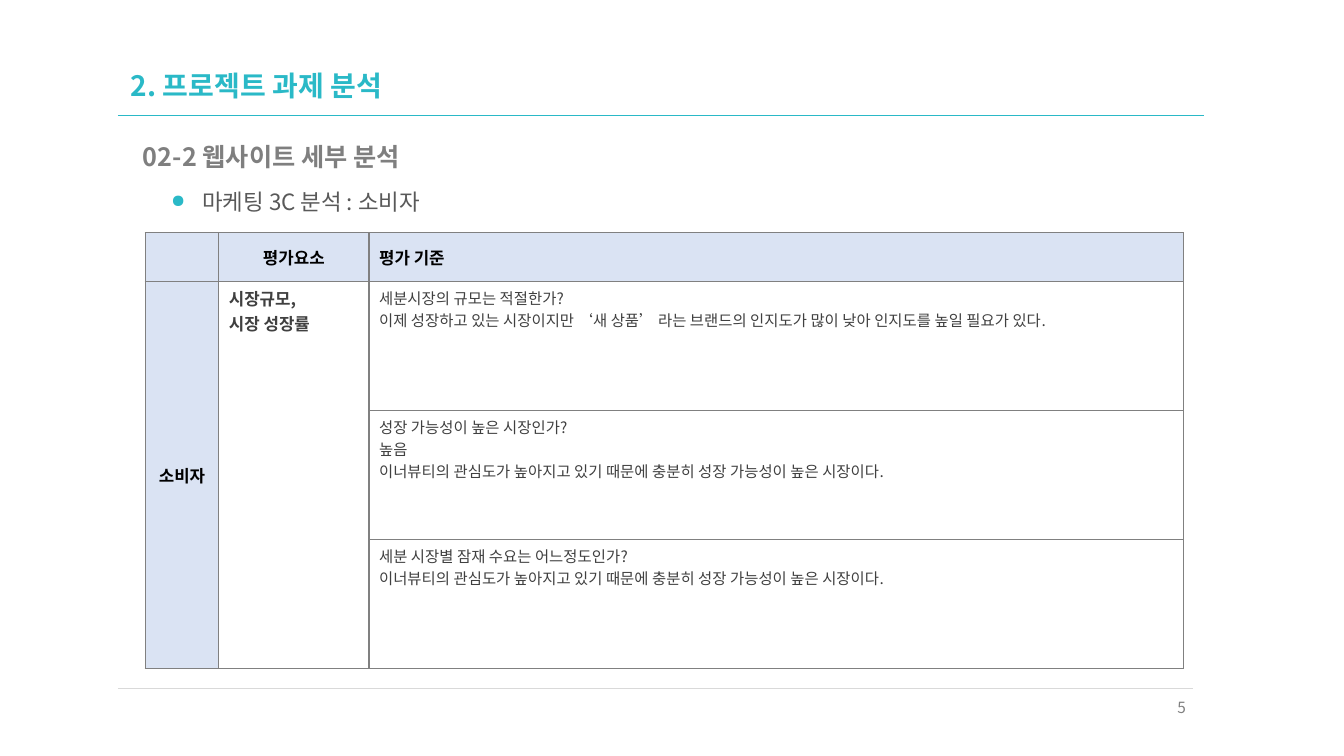
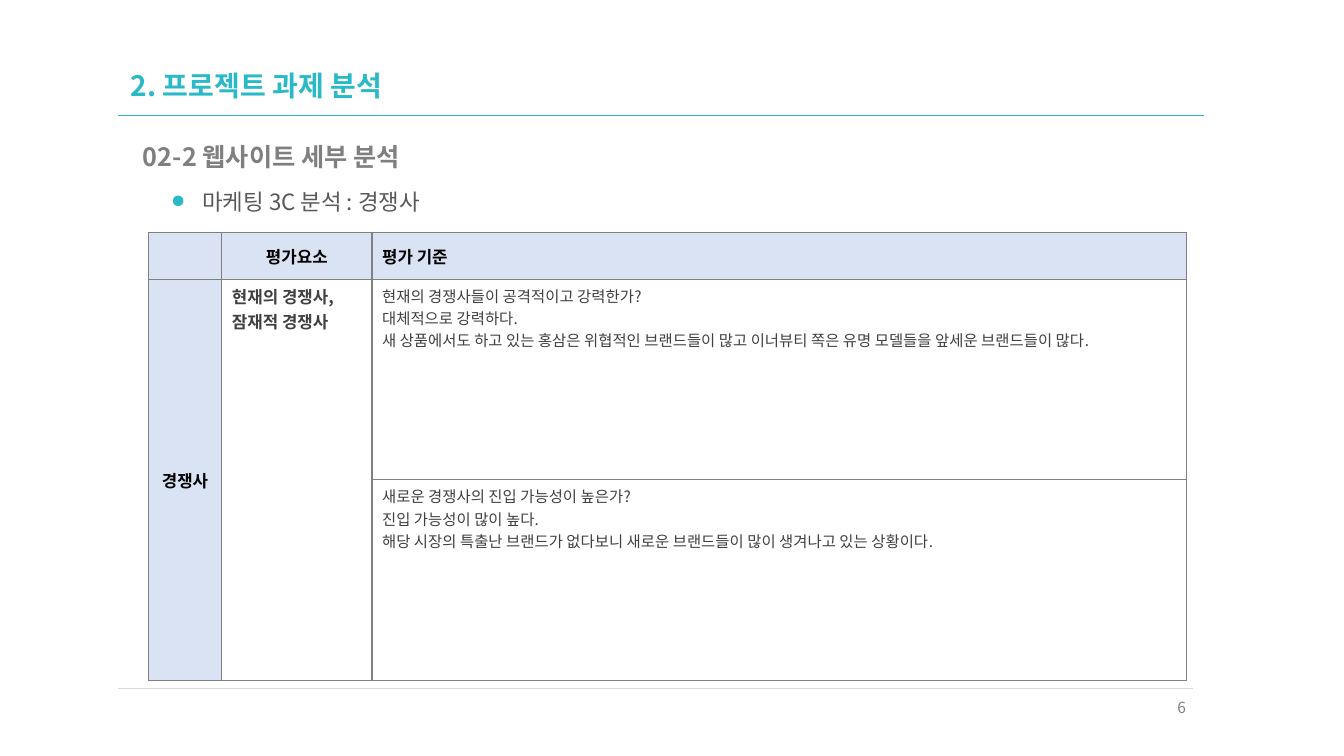
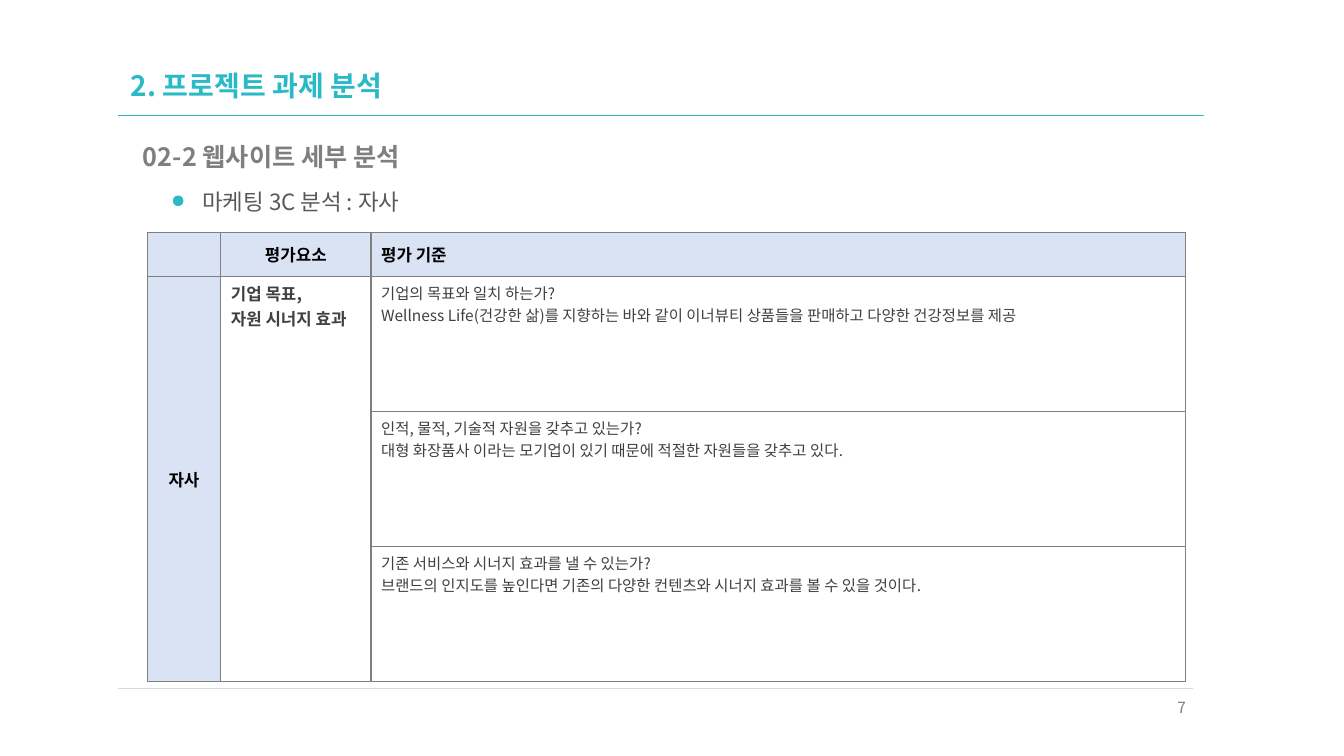
from lxml.etree import SubElement
from pptx import Presentation
from pptx.dml.color import RGBColor
from pptx.enum.shapes import MSO_CONNECTOR
from pptx.enum.text import MSO_ANCHOR, PP_ALIGN
from pptx.oxml.ns import qn
from pptx.util import Inches, Pt

FONT = "Noto Sans CJK KR"
TEAL, RULE, BORDER, HEADER_FILL = "2AB9C7", "D9D9D9", "808080", "DAE3F3"
COLUMNS = (0.73, 1.49, 8.08)

# Text formats: run values first, then paragraph values
TITLE = ({"size": Pt(20), "bold": True}, TEAL, {"line_spacing": 0.9})
SUBTITLE = ({"size": Pt(18), "bold": True}, "7F7F7F",
            {"line_spacing": 0.9, "space_before": Pt(10)})
TOPIC = ({"size": Pt(16), "bold": False}, "595959",
         {"line_spacing": 0.9, "space_before": Pt(10)})
NUMBER = ({"size": Pt(11), "bold": False}, "808080", {"alignment": PP_ALIGN.RIGHT})
HEAD = ({"size": Pt(12), "bold": True}, "000000", {})
HEAD_CENTER = (HEAD[0], HEAD[1], {"alignment": PP_ALIGN.CENTER})
FACTOR = (HEAD[0], "404040", {})
CRITERION = ({"size": Pt(11), "bold": False}, "404040", {})


def color(value):
    return RGBColor.from_string(value)


def apply(target, values):
    for name, value in values.items():
        setattr(target, name, value)


def write(frame, text, style):
    font_values, font_color, para_values = style
    for index, line in enumerate(text.split("\n")):
        para = frame.add_paragraph() if index else frame.paragraphs[0]
        apply(para, para_values)
        if not line:
            SubElement(para._p, qn("a:endParaRPr"), sz=str(int(font_values["size"].pt * 100)))
            continue
        span = para.add_run()
        span.text = line
        apply(span.font, {"name": FONT, **font_values})
        span.font.color.rgb = color(font_color)
        SubElement(span._r.get_or_add_rPr(), qn("a:ea"), typeface=FONT)


def add_text(page, box, text, style, anchor=MSO_ANCHOR.TOP):
    frame = page.shapes.add_textbox(*map(Inches, box)).text_frame
    apply(frame, {"word_wrap": True, "vertical_anchor": anchor})
    write(frame, text, style)
    return frame


def add_rule(page, left, right, top, line_color):
    rule = page.shapes.add_connector(
        MSO_CONNECTOR.STRAIGHT, *map(Inches, (left, top, right, top)))
    rule.line.color.rgb = color(line_color)
    rule.line.width = Pt(0.5)
    SubElement(rule._element.spPr, qn("a:effectLst"))


def add_bullet(para):
    props = para._p.get_or_add_pPr()
    apply_indent = {"marL": Inches(0.31), "indent": -Inches(0.31)}
    for name, value in apply_indent.items():
        props.set(name, str(int(value)))
    SubElement(SubElement(props, qn("a:buClr")), qn("a:srgbClr"), val=TEAL)
    SubElement(props, qn("a:buSzPct"), val="80000")
    SubElement(props, qn("a:buChar"), char="●")


def add_frame(page, topic, number):
    # Rules, headings and page number shared by all slides
    add_rule(page, 1.17, 11.94, 1.14, TEAL)
    add_rule(page, 1.17, 11.83, 6.83, RULE)
    add_text(page, (1.2, 0.62, 10.78, 0.49), "2. 프로젝트 과제 분석", TITLE, MSO_ANCHOR.MIDDLE)
    add_text(page, (1.32, 1.39, 10.66, 0.34), "02-2 웹사이트 세부 분석", SUBTITLE)
    frame = add_text(page, (1.6, 1.85, 10.38, 0.34), f"마케팅 3C 분석 : {topic}", TOPIC)
    add_bullet(frame.paragraphs[0])
    add_text(page, (11.27, 6.88, 0.59, 0.4), str(number), NUMBER)


def style_cell(cell, is_header):
    props = cell._tc.get_or_add_tcPr()
    for side in ("lnL", "lnR", "lnT", "lnB"):
        edge = SubElement(props, qn(f"a:{side}"), w=str(int(Pt(1))))
        SubElement(SubElement(edge, qn("a:solidFill")), qn("a:srgbClr"), val=BORDER)
    cell.fill.solid()
    cell.fill.fore_color.rgb = color(HEADER_FILL if is_header else "FFFFFF")
    if not is_header:
        SubElement(props.find(f"{qn('a:solidFill')}/{qn('a:srgbClr')}"),
                   qn("a:alpha"), val="5000")


def add_criteria_table(page, left, top, header_height, row_height, topic, factor, criteria):
    count = len(criteria)
    heights = [header_height] + [row_height] * count
    table = page.shapes.add_table(
        count + 1, len(COLUMNS),
        *map(Inches, (left, top, sum(COLUMNS), sum(heights)))).table
    apply(table, {"first_row": False, "horz_banding": False})
    for column, width in zip(table.columns, COLUMNS):
        column.width = Inches(width)
    for row, height in zip(table.rows, heights):
        row.height = Inches(height)
    for row in range(count + 1):
        for column in range(len(COLUMNS)):
            style_cell(table.cell(row, column), row == 0 or column == 0)

    # Topic and factor run down beside all criteria
    for column in (0, 1):
        table.cell(1, column).merge(table.cell(count, column))
    entries = [(0, 0, "", HEAD), (0, 1, "평가요소", HEAD_CENTER), (0, 2, "평가 기준", HEAD),
               (1, 0, topic, HEAD_CENTER), (1, 1, factor, FACTOR)]
    entries += [(row, 2, text, CRITERION) for row, text in enumerate(criteria, 1)]
    for row, column, text, style in entries:
        cell = table.cell(row, column)
        is_header = row == 0 or column == 0
        cell.vertical_anchor = MSO_ANCHOR.MIDDLE if is_header else MSO_ANCHOR.TOP
        write(cell.text_frame, text, style)


# Table left, header height, row height, topic, factor, criteria
ANALYSES = [
    (1.44, 0.48, 1.28, "소비자", "시장규모,\n시장 성장률", [
        "세분시장의 규모는 적절한가?\n"
        "이제 성장하고 있는 시장이지만 ‘새 상품’ 라는 브랜드의 인지도가 많이 낮아 "
        "인지도를 높일 필요가 있다.",
        "성장 가능성이 높은 시장인가?\n높음\n"
        "이너뷰티의 관심도가 높아지고 있기 때문에 충분히 성장 가능성이 높은 시장이다.",
        "세분 시장별 잠재 수요는 어느정도인가?\n"
        "이너뷰티의 관심도가 높아지고 있기 때문에 충분히 성장 가능성이 높은 시장이다.",
    ]),
    (1.47, 0.46, 1.99, "경쟁사", "현재의 경쟁사,\n잠재적 경쟁사", [
        "현재의 경쟁사들이 공격적이고 강력한가?\n대체적으로 강력하다.\n"
        "새 상품에서도 하고 있는 홍삼은 위협적인 브랜드들이 많고 "
        "이너뷰티 쪽은 유명 모델들을 앞세운 브랜드들이 많다.",
        "새로운 경쟁사의 진입 가능성이 높은가?\n진입 가능성이 많이 높다.\n"
        "해당 시장의 특출난 브랜드가 없다보니 새로운 브랜드들이 많이 생겨나고 있는 상황이다.",
    ]),
    (1.46, 0.43, 1.34, "자사", "기업 목표,\n자원 시너지 효과", [
        "기업의 목표와 일치 하는가?\n"
        "Wellness Life(건강한 삶)를 지향하는 바와 같이 이너뷰티 상품들을 판매하고 "
        "다양한 건강정보를 제공",
        "인적, 물적, 기술적 자원을 갖추고 있는가?\n"
        "대형 화장품사 이라는 모기업이 있기 때문에 적절한 자원들을 갖추고 있다.",
        "기존 서비스와 시너지 효과를 낼 수 있는가?\n"
        "브랜드의 인지도를 높인다면 기존의 다양한 컨텐츠와 시너지 효과를 볼 수 있을 것이다.",
    ]),
]

deck = Presentation()
apply(deck, {"slide_width": Inches(13.33), "slide_height": Inches(7.5)})
for number, (left, header_height, row_height, topic, factor, criteria) in enumerate(ANALYSES, 5):
    page = deck.slides.add_slide(deck.slide_layouts[6])
    add_frame(page, topic, number)
    add_criteria_table(page, left, 2.31, header_height, row_height, topic, factor, criteria)
deck.save("out.pptx")
